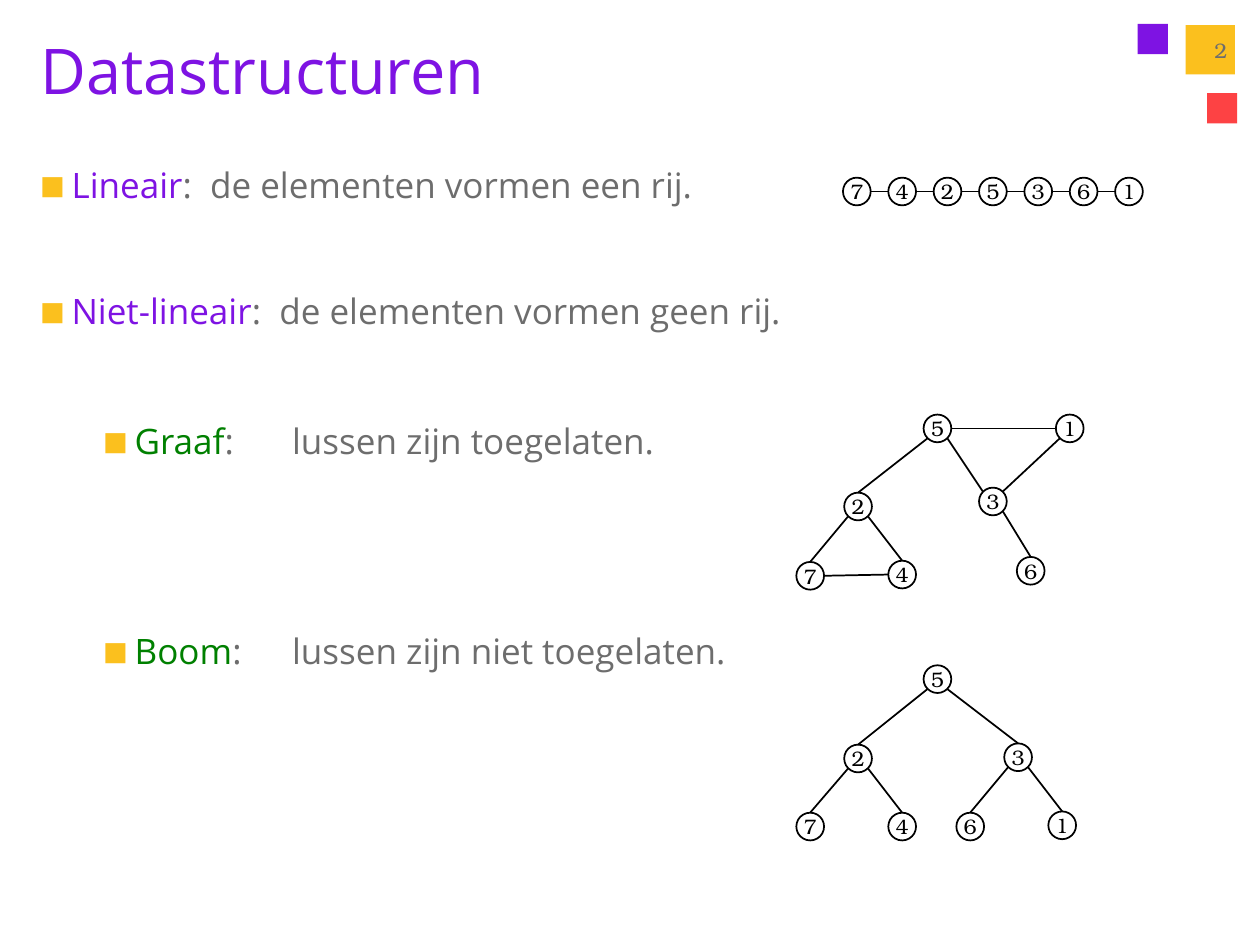
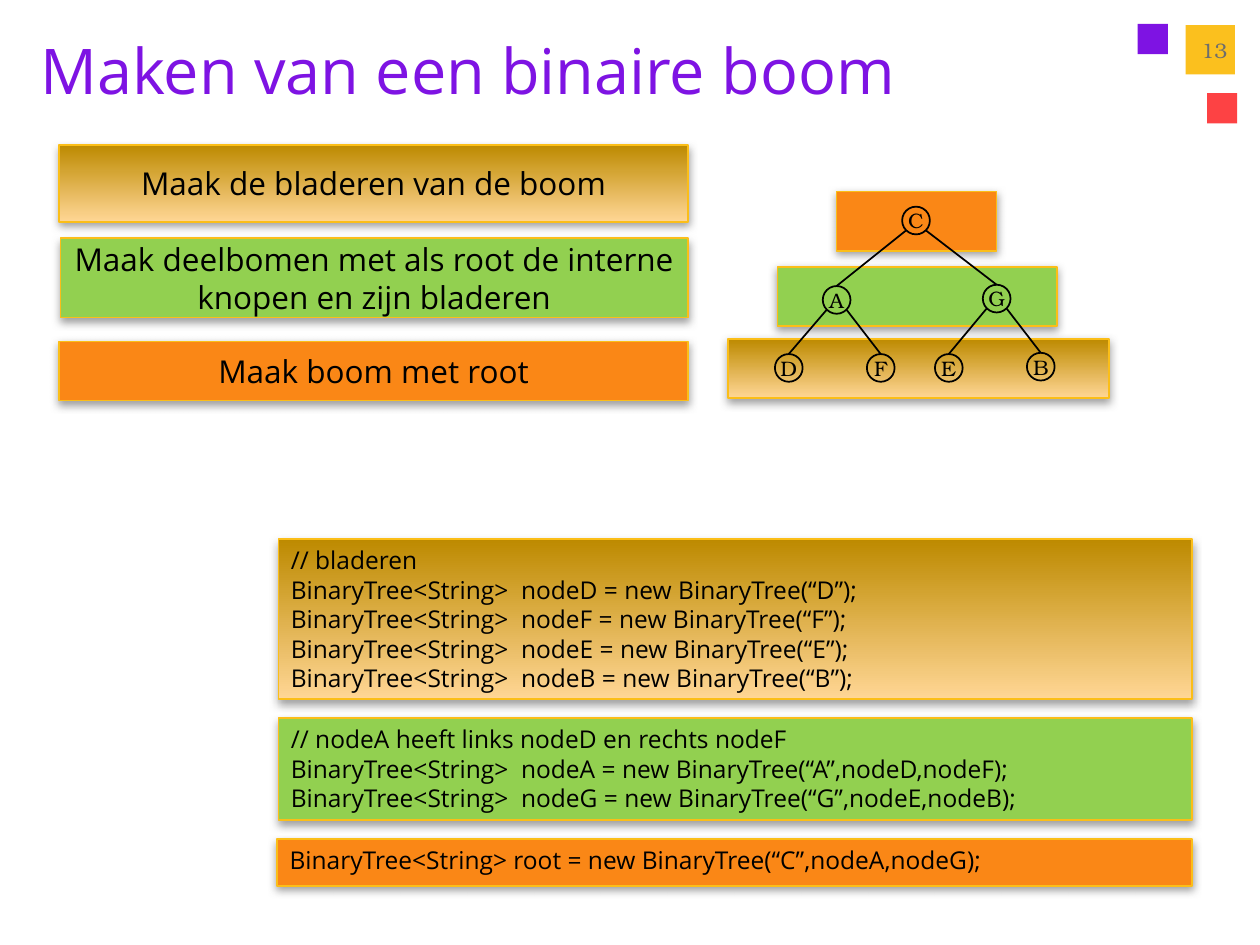
from lxml import etree
from pptx import Presentation
from pptx import util as u
from pptx.dml import color
from pptx.enum import shapes, text
from pptx.oxml import ns, parse_xml

SANS, SERIF = "Open Sans", "TeX Gyre Bonum"
PURPLE, RED, GOLD, GREY = "7E13E3", "FD4244", "FBC01E", "6D6D6D"
GREEN, BLACK, EDGE = "008000", "000000", "FBBE18"
ORANGE, LIME, BROWN = "FA8716", "92D050", ("BD8A00", "FFD695")
A = 'xmlns:a="http://schemas.openxmlformats.org/drawingml/2006/main"'
SHADOW = (f'<a:effectLst {A}><a:outerShdw blurRad="63500" dist="25400" '
          'dir="5400000" rotWithShape="0"><a:srgbClr val="808080">'
          '<a:alpha val="75000"/></a:srgbClr></a:outerShdw></a:effectLst>')
BULLET = (f'<a:buClr {A}><a:srgbClr val="{GOLD}"/></a:buClr>',
          f'<a:buSzPct {A} val="75000"/>',
          f'<a:buFont {A} typeface="{SANS}"/>',
          f'<a:buChar {A} char="\u25a0"/>',
          f'<a:tabLst {A}><a:tab pos="{u.Inches(2)}" algn="l"/></a:tabLst>')
LEFT, MID, RIGHT = (text.PP_ALIGN.LEFT, text.PP_ALIGN.CENTER,
                    text.PP_ALIGN.RIGHT)
TOP, CENTER = text.MSO_ANCHOR.TOP, text.MSO_ANCHOR.MIDDLE
RECT, OVAL = shapes.MSO_SHAPE.RECTANGLE, shapes.MSO_SHAPE.OVAL


def paint(fill, tone):
    """Give a fill one hex colour, or a pair as a gradient running down."""
    if isinstance(tone, str):
        fill.solid()
        fill.fore_color.rgb = color.RGBColor.from_string(tone)
        return
    fill.gradient()
    fill.gradient_angle = 270
    for stop, part in zip(fill.gradient_stops, tone):
        stop.color.rgb = color.RGBColor.from_string(part)


def write(para, words, size, face, tone):
    """Add one formatted run to a paragraph."""
    run = para.add_run()
    run.text = words
    run.font.size = u.Pt(size)
    run.font.name = face
    paint(run.font.fill, tone)


deck = Presentation()
deck.slide_width, deck.slide_height = u.Inches(10), u.Inches(7.5)

# Shared title, corner squares and page number
pages = []
for head, num in (("Datastructuren", "2"), ("Maken van een binaire boom", "13")):
    page = deck.slides.add_slide(deck.slide_layouts[5])
    pages.append(page)
    for x, y, side, tone in ((9.03, 0.19, 0.24, PURPLE),
                             (9.58, 0.74, 0.24, RED),
                             (9.41, 0.2, 0.39, GOLD)):
        box = page.shapes.add_shape(RECT, *map(u.Inches, (x, y, side, side)))
        box.shadow.inherit = False
        paint(box.fill, tone)
        box.line.fill.background()

    title = page.shapes.title
    title.left, title.top = u.Inches(0.22), u.Inches(0.2)
    title.width, title.height = u.Inches(8.26), u.Inches(0.84)
    frame = title.text_frame
    frame.auto_size = text.MSO_AUTO_SIZE.NONE
    frame.vertical_anchor = TOP
    frame.paragraphs[0].alignment = LEFT
    write(frame.paragraphs[0], head, 36, SANS, PURPLE)

    box = page.shapes.add_textbox(*map(u.Inches, (9.33, 0.2, 0.51, 0.4)))
    frame = box.text_frame
    frame.word_wrap = True
    frame.vertical_anchor = CENTER
    frame.paragraphs[0].alignment = RIGHT
    write(frame.paragraphs[0], num, 12, SERIF, GREY)
first, second = pages

# Slide 1: bullets
body = first.shapes.add_textbox(*map(u.Inches, (0.22, 1.25, 9.54, 5.6)))
frame = body.text_frame
frame.word_wrap = True
items = (("Lineair", ":  de elementen vormen een rij.", PURPLE, 0.25, 0),
         ("Niet-lineair", ":  de elementen vormen geen rij.", PURPLE, 0.25, 48),
         ("Graaf", ":\tlussen zijn toegelaten.", GREEN, 0.75, 50),
         ("Boom", ":\tlussen zijn niet toegelaten.", GREEN, 0.75, 96))
for i, (term, rest, tone, indent, gap) in enumerate(items):
    para = frame.add_paragraph() if i else frame.paragraphs[0]
    para.space_before = u.Pt(gap)
    props = para._p.get_or_add_pPr()
    props.set("marL", str(u.Inches(indent)))
    props.set("indent", str(u.Inches(-0.25)))
    for mark in BULLET:
        props.append(parse_xml(mark))
    write(para, term, 20, SANS, tone)
    write(para, rest, 20, SANS, GREY)

# Slide 2: steps, tree levels and code, matched by colour
tree = "BinaryTree<String>  node{0} = new BinaryTree(\u201c{0}\u201d{1});"
leaves = ["// bladeren"] + [tree.format(c, "") for c in "DFEB"]
inner = ["// nodeA heeft links nodeD en rechts nodeF",
         tree.format("A", ",nodeD,nodeF"), tree.format("G", ",nodeE,nodeB")]
root = ["BinaryTree<String> root = new BinaryTree(\u201cC\u201d,nodeA,nodeG);"]
bands = (
    ((0.47, 1.15, 4.99, 0.61), BROWN, 18, ["Maak de bladeren van de boom"]),
    ((0.48, 1.89, 4.98, 0.63), LIME, 18,
     ["Maak deelbomen met als root de interne knopen en zijn bladeren"]),
    ((0.47, 2.71, 4.99, 0.47), ORANGE, 18, ["Maak boom met root"]),
    ((6.64, 1.52, 1.27, 0.47), ORANGE, 0, []),
    ((6.17, 2.12, 2.22, 0.47), LIME, 0, []),
    ((5.78, 2.69, 3.02, 0.47), BROWN, 0, []),
    ((2.21, 4.28, 7.25, 1.27), BROWN, 14, leaves),
    ((2.21, 5.7, 7.25, 0.81), LIME, 14, inner),
    ((2.2, 6.66, 7.26, 0.37), ORANGE, 14, root))
for area, tone, size, lines in bands:
    box = second.shapes.add_shape(RECT, *map(u.Inches, area))
    paint(box.fill, tone)
    paint(box.line.fill, EDGE)
    box.line.width = u.Pt(1)
    box._element.spPr.append(parse_xml(SHADOW))
    frame = box.text_frame
    frame.word_wrap = True
    frame.vertical_anchor = TOP if size == 14 else CENTER
    for i, line in enumerate(lines):
        para = frame.add_paragraph() if i else frame.paragraphs[0]
        para.alignment = LEFT if size == 14 else MID
        write(para, line, size, SANS, BLACK)

# Linked nodes: centres, then edges as (node, side, node, side)
RAD, DIAG = 0.11, 0.08
sides = {"n": (0, -RAD), "w": (-RAD, 0), "e": (RAD, 0), "nw": (-DIAG, -DIAG),
         "sw": (-DIAG, DIAG), "se": (DIAG, DIAG)}
row = [(6.8 + 0.36 * i, 1.52) for i in range(7)]
chain = [(i, "e", i + 1, "w") for i in range(6)]
mesh = [(7.44, 3.4), (6.81, 4.02), (7.88, 3.98), (6.43, 4.57), (7.16, 4.56),
        (8.18, 4.53), (8.49, 3.4)]
loops = [(0, "sw", 1, "n"), (0, "se", 2, "nw"), (1, "sw", 3, "n"),
         (1, "se", 4, "n"), (2, "se", 5, "n"), (0, "e", 6, "w"),
         (3, "e", 4, "w"), (6, "sw", 2, "ne")]
sides["ne"] = (DIAG, -DIAG)
heap = [(7.44, 5.39), (6.81, 6.02), (8.08, 6.01), (6.43, 6.56), (7.16, 6.56),
        (7.7, 6.56), (8.43, 6.55)]
forks = [(i, side, 2 * i + k, "n")
         for i in range(3) for k, side in ((1, "sw"), (2, "se"))]
moved = [(x - 0.17, y - 3.64) for x, y in heap]

for page, names, spots, edges in ((first, "7425361", row, chain),
                                  (first, "5237461", mesh, loops),
                                  (first, "5237461", heap, forks),
                                  (second, "CAGDFEB", moved, forks)):
    for name, (x, y) in zip(names, spots):
        node = page.shapes.add_shape(
            OVAL, *map(u.Inches, (x - RAD, y - RAD, 2 * RAD, 2 * RAD)))
        node.shadow.inherit = False
        node.fill.background()
        paint(node.line.fill, BLACK)
        node.line.width = u.Pt(1)
        frame = node.text_frame
        frame.word_wrap = False
        frame.vertical_anchor = CENTER
        frame.margin_left = frame.margin_right = 0
        frame.margin_top = frame.margin_bottom = 0
        frame.paragraphs[0].alignment = MID
        write(frame.paragraphs[0], name, 12, SERIF, BLACK)
    for start, out, end, into in edges:
        ends = [spots[n][k] + sides[s][k]
                for n, s in ((start, out), (end, into)) for k in (0, 1)]
        link = page.shapes.add_connector(
            shapes.MSO_CONNECTOR.STRAIGHT, *map(u.Inches, ends))
        paint(link.line.fill, BLACK)
        link.line.width = u.Pt(1)
        etree.SubElement(link._element.spPr, ns.qn("a:effectLst"))

deck.save("out.pptx")
